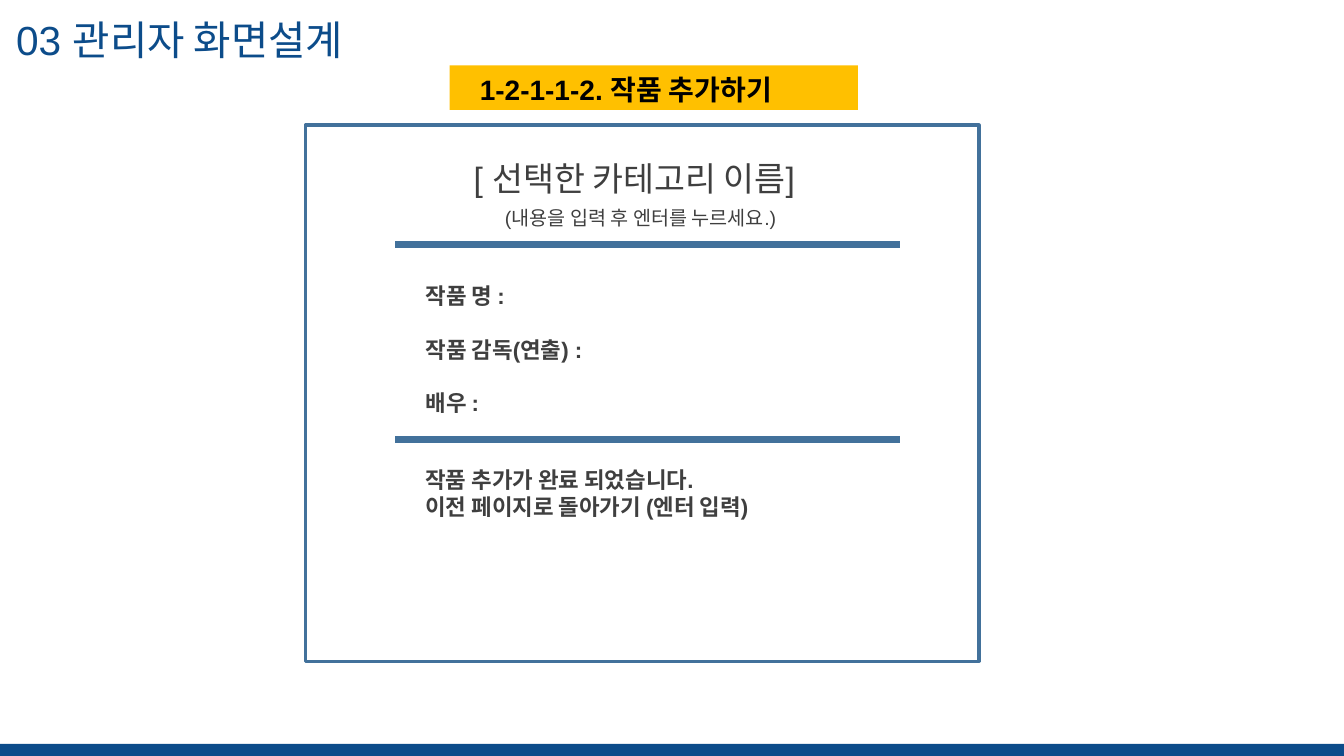
from dataclasses import dataclass

from lxml import etree
from pptx import Presentation
from pptx.dml.color import RGBColor
from pptx.enum.shapes import MSO_CONNECTOR, MSO_SHAPE
from pptx.enum.text import MSO_ANCHOR, MSO_AUTO_SIZE, PP_ALIGN
from pptx.oxml.ns import qn
from pptx.shapes.autoshape import Shape
from pptx.slide import Slide
from pptx.util import Inches, Pt

RECT = MSO_SHAPE.RECTANGLE
LINE = MSO_CONNECTOR.STRAIGHT
TOP = MSO_ANCHOR.TOP
FIXED = MSO_AUTO_SIZE.NONE
LEFT = PP_ALIGN.LEFT

NAVY = RGBColor(0x0C, 0x4C, 0x8A)
STEEL = RGBColor(0x42, 0x71, 0x9B)
GOLD = RGBColor(0xFF, 0xC0, 0x00)
GRAY = RGBColor(0x3F, 0x3F, 0x3F)
BLACK = RGBColor(0x00, 0x00, 0x00)
FONT = "Arial"


@dataclass(frozen=True)
class Box:
    left: float
    top: float
    width: float
    height: float


@dataclass(frozen=True)
class Label:
    box: Box
    lines: tuple[str, ...]
    size: int
    color: RGBColor = GRAY
    bold: bool = False
    gap: int = 0


@dataclass(frozen=True)
class Panel:
    box: Box
    fill: RGBColor | None = None
    edge: RGBColor | None = None


TITLE = Label(Box(0.06, 0.1, 4.31, 0.59), ("03 관리자 화면설계",), 29, NAVY)
FIELDS = Label(
    Box(4.12, 2.75, 4.81, 1.45),
    ("작품 명 :", "작품 감독(연출) :", "배우 :"),
    16, bold=True, gap=19,
)
LABELS = (
    Label(Box(4.66, 0.67, 3.41, 0.44), ("1-2-1-1-2. 작품 추가하기",), 20, BLACK, True),
    Label(Box(4.6, 1.52, 5.1, 0.5), ("[ 선택한 카테고리 이름]",), 24),
    Label(Box(4.91, 1.99, 4.0, 0.34), ("(내용을 입력 후 엔터를 누르세요.)",), 14),
    Label(
        Box(4.12, 4.58, 5.01, 0.64),
        ("작품 추가가 완료 되었습니다.", "이전 페이지로 돌아가기 (엔터 입력)"),
        16, bold=True,
    ),
)
PANELS = (
    Panel(Box(0, 7.38, 13.33, 0.12), fill=NAVY),
    Panel(Box(4.46, 0.65, 4.05, 0.44), fill=GOLD),
    Panel(Box(3.03, 1.24, 6.68, 5.32), edge=STEEL),
)
RULES = (2.43, 4.36)


def place(box: Box) -> tuple[int, int, int, int]:
    return Inches(box.left), Inches(box.top), Inches(box.width), Inches(box.height)


def write(shape: Shape, label: Label) -> None:
    shape.left, shape.top, shape.width, shape.height = place(label.box)
    frame = shape.text_frame
    frame.word_wrap = True
    frame.auto_size = FIXED
    frame.vertical_anchor = TOP
    for row, text in enumerate(label.lines):
        para = frame.add_paragraph() if row else frame.paragraphs[0]
        props = para._p.get_or_add_pPr()
        props.set("marL", "0")
        props.set("indent", "0")
        etree.SubElement(props, qn("a:buNone"))
        para.alignment = LEFT
        para.space_before = Pt(label.gap if row else 0)
        run = para.add_run()
        run.text = text
        font = run.font
        font.name = FONT
        font.size = Pt(label.size)
        font.bold = label.bold
        font.color.rgb = label.color


def draw(slide: Slide, panel: Panel) -> None:
    shape = slide.shapes.add_shape(RECT, *place(panel.box))
    shape.shadow.inherit = False
    if panel.fill is None:
        shape.fill.background()
    else:
        shape.fill.solid()
        shape.fill.fore_color.rgb = panel.fill
    if panel.edge is None:
        shape.line.fill.background()
    else:
        shape.line.color.rgb = panel.edge
        shape.line.width = Pt(2.25)


def rule(slide: Slide, top: float) -> None:
    line = slide.shapes.add_connector(
        LINE, Inches(3.92), Inches(top), Inches(8.93), Inches(top)
    )
    line.line.color.rgb = STEEL
    line.line.width = Pt(5)
    etree.SubElement(line._element.spPr, qn("a:effectLst"))


def main() -> None:
    deck = Presentation()
    deck.slide_width = Inches(13.33)
    deck.slide_height = Inches(7.5)
    slide = deck.slides.add_slide(deck.slide_layouts[1])
    write(slide.shapes.title, TITLE)
    write(slide.placeholders[1], FIELDS)
    for panel in PANELS:
        draw(slide, panel)
    for top in RULES:
        rule(slide, top)
    for label in LABELS:
        write(slide.shapes.add_textbox(*place(label.box)), label)
    deck.save("out.pptx")


if __name__ == "__main__":
    main()
